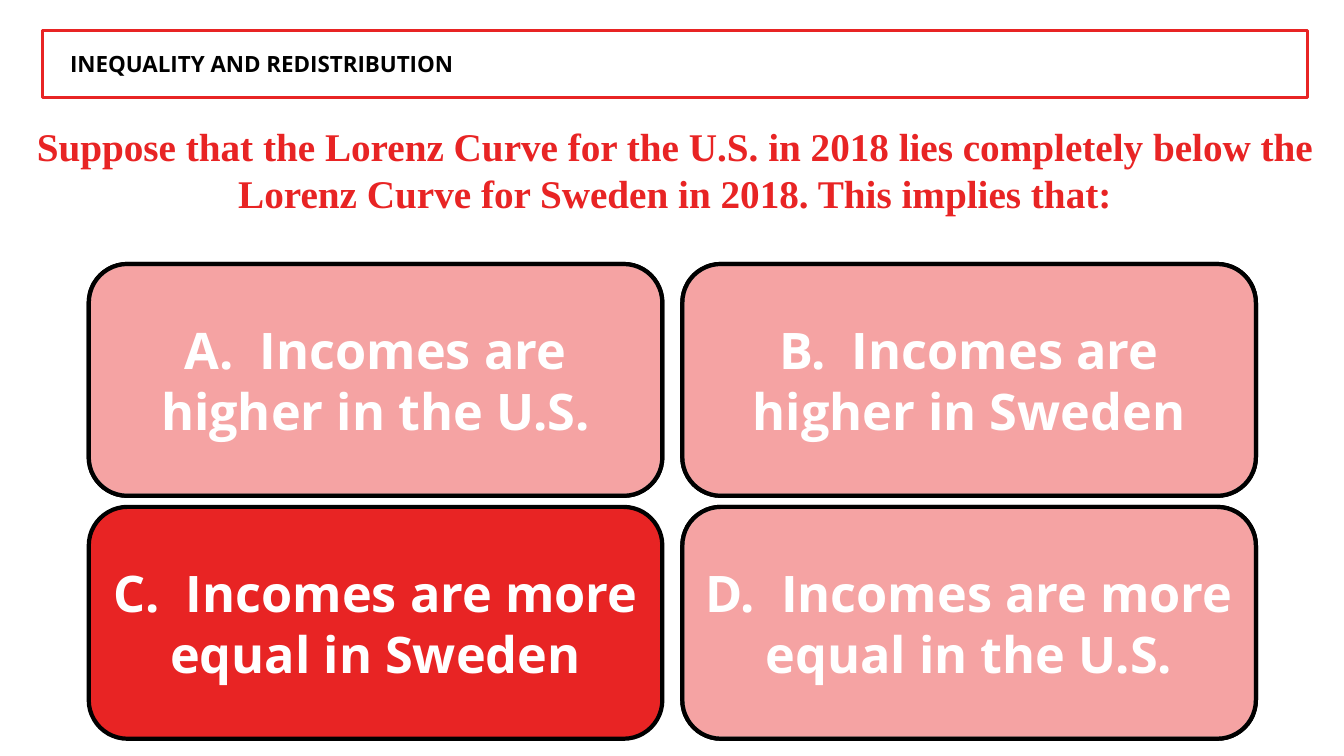
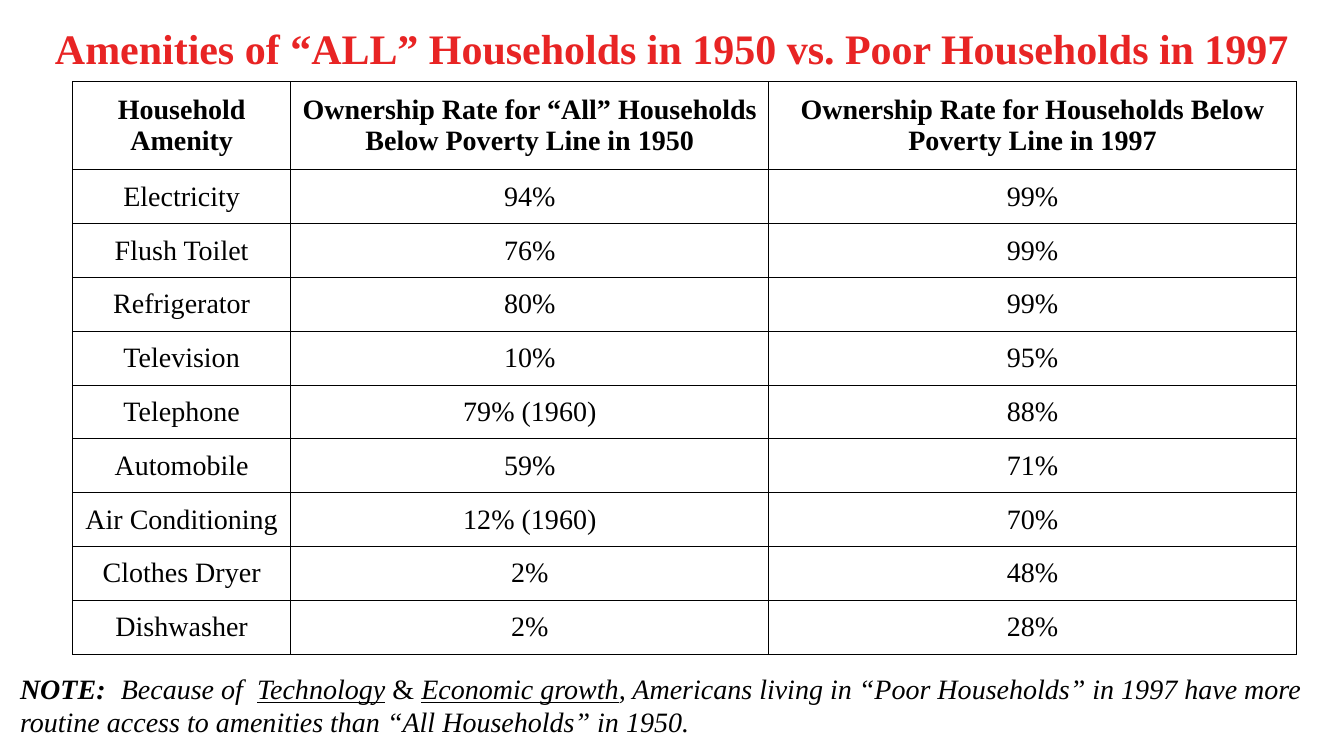
from lxml import etree
from pptx import Presentation
from pptx.dml.color import RGBColor
from pptx.enum.shapes import MSO_SHAPE
from pptx.enum.text import MSO_ANCHOR, PP_ALIGN
from pptx.oxml import parse_xml
from pptx.oxml.ns import nsdecls, qn
from pptx.util import Pt

RECT, ROUNDED = MSO_SHAPE.RECTANGLE, MSO_SHAPE.ROUNDED_RECTANGLE
LEFT, CENTER = PP_ALIGN.LEFT, PP_ALIGN.CENTER
TOP, MIDDLE = MSO_ANCHOR.TOP, MSO_ANCHOR.MIDDLE
SERIF, SANS = "Times New Roman", "Open Sans"
RED, BLACK, WHITE = "E82424", "000000", "FFFFFF"


def rgb(color):
    return RGBColor.from_string(color)


def write(tf, runs, font, size, color, bold=True, align=CENTER, anchor=TOP,
          margins=(7.2, 3.6, 7.2, 3.6)):
    """Fill a text frame with one paragraph; runs are (text, styles) pairs."""
    tf.word_wrap = True
    tf.vertical_anchor = anchor
    (tf.margin_left, tf.margin_top,
     tf.margin_right, tf.margin_bottom) = [Pt(m) for m in margins]
    p = tf.paragraphs[0]
    p.alignment = align
    p.font.name, p.font.size, p.font.bold = font, Pt(size), bold
    p.font.color.rgb = rgb(color)
    for text, styles in runs:
        r = p.add_run()
        r.text = text
        r.font.bold = True if "b" in styles else None
        r.font.italic = True if "i" in styles else None
        r.font.underline = True if "u" in styles else None


prs = Presentation()
prs.slide_width, prs.slide_height = Pt(960), Pt(540)
blank = prs.slide_layouts[6]

# Slide 1: quiz question
s = prs.slides.add_slide(blank)
tb = s.shapes.add_textbox(Pt(2), Pt(83.5), Pt(960), Pt(112))
question = ("Suppose that the Lorenz Curve for the U.S. in 2018 lies completely "
            "below the Lorenz Curve for Sweden in 2018. This implies that:")
write(tb.text_frame, [(question, "")], SERIF, 28, RED)

# Answer cards, with a translucent veil over the wrong ones
answers = [
    ("A.  Incomes are higher in the U.S.", False),
    ("B.  Incomes are higher in Sweden", False),
    ("C.  Incomes are more equal in Sweden", True),
    ("D.  Incomes are more equal in the U.S.", False),
]
card_w, card_h = 409.7, 165.6
for i, (answer, correct) in enumerate(answers):
    row, col = divmod(i, 2)
    x, y = 63.4 + col * 424, 188.6 + row * 173.5
    for fill in [RED] if correct else [RED, WHITE]:
        sp = s.shapes.add_shape(ROUNDED, Pt(x), Pt(y), Pt(card_w), Pt(card_h))
        sp.shadow.inherit = False
        sp.fill.solid()
        sp.fill.fore_color.rgb = rgb(fill)
        sp.line.color.rgb = rgb(BLACK)
        sp.line.width = Pt(3)
        if fill == RED:
            write(sp.text_frame, [(answer, "")], SANS, 36, WHITE,
                  anchor=MIDDLE, margins=(1.4, 1.4, 1.4, 1.4))
        else:
            color = sp.fill._xPr.find(".//" + qn("a:srgbClr"))
            etree.SubElement(color, qn("a:alpha"), val="58000")

# Topic band
sp = s.shapes.add_shape(RECT, Pt(30.2), Pt(21.6), Pt(903.6), Pt(48.2))
sp.shadow.inherit = False
sp.fill.background()
sp.line.color.rgb = rgb(RED)
sp.line.width = Pt(2.25)
write(sp.text_frame, [("INEQUALITY AND REDISTRIBUTION", "")], SANS, 16, BLACK,
      align=LEFT, anchor=MIDDLE, margins=(19.8, 3.6, 7.2, 3.6))

# Slide 2: amenities table
s = prs.slides.add_slide(blank)
tb = s.shapes.add_textbox(Pt(-7.2), Pt(8.6), Pt(975), Pt(58.3))
write(tb.text_frame,
      [("Amenities of “ALL” Households in 1950 vs. Poor Households in 1997", "")],
      SERIF, 30, RED, margins=(7.2, 7.2, 7.2, 7.2))

rows = [
    ("Household Amenity",
     "Ownership Rate for “All” Households Below Poverty Line in 1950",
     "Ownership Rate for Households Below Poverty Line in 1997"),
    ("Electricity", "94%", "99%"),
    ("Flush Toilet", "76%", "99%"),
    ("Refrigerator", "80%", "99%"),
    ("Television", "10%", "95%"),
    ("Telephone", "79% (1960)", "88%"),
    ("Automobile", "59%", "71%"),
    ("Air Conditioning", "12% (1960)", "70%"),
    ("Clothes Dryer", "2%", "48%"),
    ("Dishwasher", "2%", "28%"),
]
col_widths = [156, 341.4, 376.8]
row_heights = [63] + [36.5] * (len(rows) - 1)
table = s.shapes.add_table(len(rows), len(col_widths), Pt(51.8), Pt(58.3),
                           Pt(sum(col_widths)), Pt(sum(row_heights))).table
table.first_row = table.horz_banding = False
for column, width in zip(table.columns, col_widths):
    column.width = Pt(width)
for i, (values, height) in enumerate(zip(rows, row_heights)):
    table.rows[i].height = Pt(height)
    for j, value in enumerate(values):
        cell = table.cell(i, j)
        write(cell.text_frame, [(value, "")], SERIF, 20, BLACK, bold=i == 0)
        cell.vertical_anchor = MIDDLE
        cell.margin_left = cell.margin_right = Pt(7.2)
        cell.margin_top = cell.margin_bottom = Pt(7.2)
        tcPr = cell._tc.get_or_add_tcPr()
        for side in ("lnL", "lnR", "lnT", "lnB"):
            tcPr.append(parse_xml(
                f'<a:{side} {nsdecls("a")} w="{Pt(0.75)}"><a:solidFill>'
                f'<a:srgbClr val="{BLACK}"/></a:solidFill></a:{side}>'))
        cell.fill.background()

# Closing note
tb = s.shapes.add_textbox(Pt(7.2), Pt(476), Pt(960), Pt(55.4))
note = [
    ("NOTE:\t", "bi"),
    ("Because of  ", "i"),
    ("Technology", "iu"),
    (" & ", ""),
    ("Economic growth", "iu"),
    (", Americans living in “Poor Households” in 1997 have more routine access "
     "to amenities than “All Households” in 1950.", "i"),
]
write(tb.text_frame, note, SERIF, 20, BLACK, bold=False, align=LEFT)

prs.save("out.pptx")
